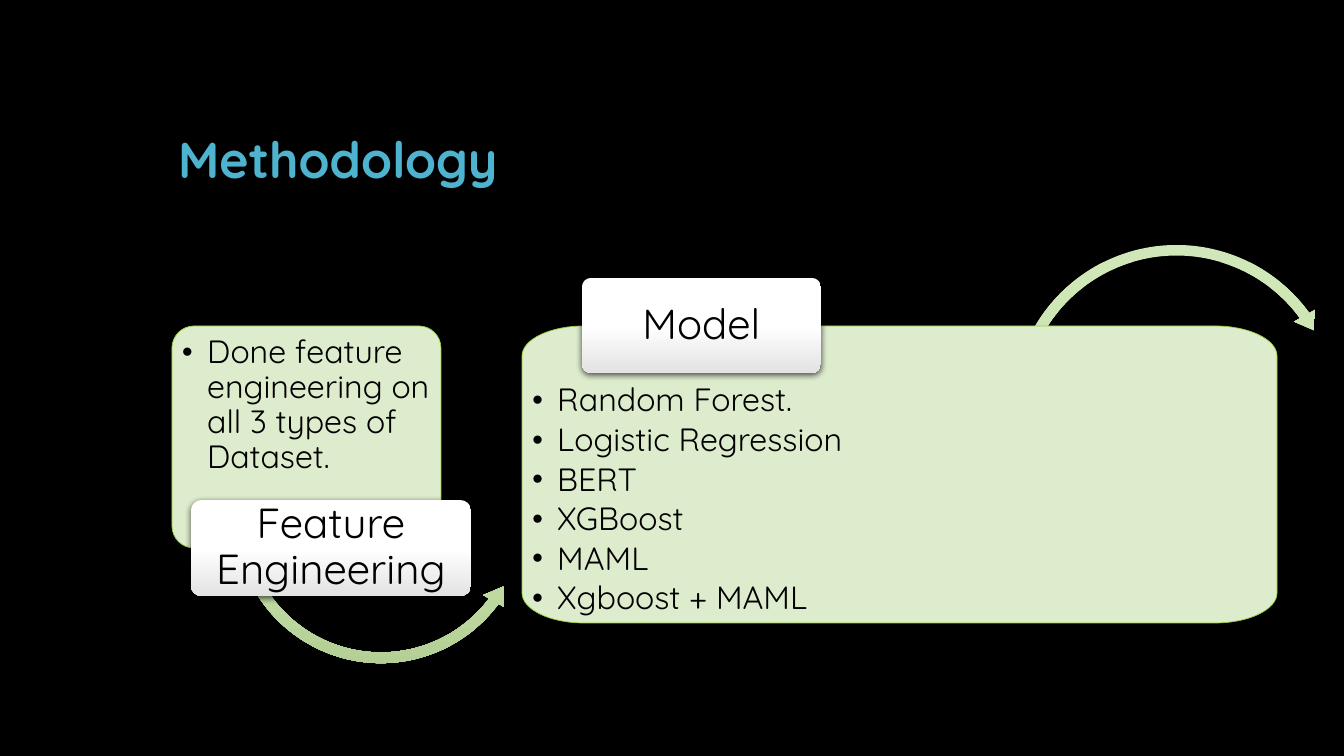
from copy import deepcopy
from dataclasses import dataclass

from lxml import etree
from pptx import Presentation, util as u
from pptx.dml.color import RGBColor
from pptx.enum import shapes, text
from pptx.oxml import ns, parse_xml

EMU_PER_PX = 914400 / 100.8
CURVE_PULL = 0.45
FONT = "Quicksand"
COLORS = {
    "background": "000000",
    "title": "4EB3CF",
    "text": "000000",
    "panel": "DEECCE",
    "panel_edge": "99CB38",
}
TAG_GRADIENT = ("FFFFFF", "FFFFFF", "E3E3E3")
ARROW_GRADIENT = ("D1E7BA", "CAE5AC", "B4CF96")


@dataclass(frozen=True)
class Box:
    left: int
    top: int
    width: int
    height: int
    radius_x: int = 0
    radius_y: int = 0


@dataclass(frozen=True)
class Panel:
    box: Box
    bullets: tuple[str, ...]
    inset_top: int
    inset_bottom: int


@dataclass(frozen=True)
class Tag:
    box: Box
    label: str


@dataclass(frozen=True)
class Arrow:
    box: Box
    preset: shapes.MSO_SHAPE
    adjustments: tuple[float, ...]


STEPS = (
    Panel(Box(172, 326, 269, 222, 22, 22),
          ("Done feature engineering on all 3 types of Dataset.",), 10, 57),
    Arrow(Box(228, 364, 306, 306), shapes.MSO_SHAPE.LEFT_CIRCULAR_ARROW,
          (0.035, 4.277, 22.032, 90.245, 0.04)),
    Tag(Box(191, 500, 280, 96, 11, 10), "Feature Engineering"),
    Arrow(Box(1006, 238, 341, 341), shapes.MSO_SHAPE.CIRCULAR_ARROW,
          (0.031, 3.813, 194.431, 125.755, 0.036)),
    Panel(Box(522, 326, 755, 297, 62, 30),
          ("Random Forest.", "Logistic Regression", "BERT", "XGBoost", "MAML",
           "Xgboost + MAML"), 58, 10),
    Tag(Box(582, 278, 239, 95, 9, 9), "Model"),
)


def px(length: float) -> u.Emu:
    return u.Emu(round(length * EMU_PER_PX))


def rgb(name: str) -> RGBColor:
    return RGBColor.from_string(COLORS[name])


def apply(target, formats: dict) -> None:
    for name, value in formats.items():
        setattr(target, name, value)


def place(box: Box) -> dict:
    return {side: px(getattr(box, side)) for side in ("left", "top", "width", "height")}


def add_rounded(slide, box: Box):
    right, bottom = box.left + box.width, box.top + box.height
    across, down = box.radius_x, box.radius_y
    corners = (
        (box.left, box.top, (0, down), (across, 0)),
        (right, box.top, (-across, 0), (0, down)),
        (right, bottom, (0, -down), (-across, 0)),
        (box.left, bottom, (across, 0), (0, -down)),
    )
    outline = [
        (px(x + dx * pull), px(y + dy * pull))
        for x, y, entry, leave in corners
        for (dx, dy), pull in ((entry, 1), (entry, CURVE_PULL),
                               (leave, CURVE_PULL), (leave, 1))
    ]
    builder = slide.shapes.build_freeform(*outline[0])
    builder.add_line_segments(outline[1:] + outline[:1], close=True)
    shape = builder.convert_to_shape()
    segments = shape.element.spPr.findall(".//" + ns.qn("a:lnTo"))
    for first in range(0, len(corners) * 4, 4):
        curve = etree.Element(ns.qn("a:cubicBezTo"))
        segments[first].addprevious(curve)
        for segment in segments[first:first + 3]:
            curve.append(segment[0])
            segment.getparent().remove(segment)
    shape.shadow.inherit = False
    return shape


def shade(shape, stops: tuple[str, ...]) -> None:
    shape.line.fill.background()
    shape.fill.gradient()
    shape.fill.gradient_angle = 270
    stop_list = shape.element.spPr.find(".//" + ns.qn("a:gsLst"))
    stop_list.insert(1, deepcopy(stop_list[0]))
    for index, (stop, color) in enumerate(zip(shape.fill.gradient_stops, stops)):
        stop.position = index / 2
        stop.color.rgb = RGBColor.from_string(color)
    shape.shadow.inherit = False
    shape.element.spPr.find(ns.qn("a:effectLst")).append(parse_xml(
        f'<a:outerShdw {ns.nsdecls("a")} blurRad="57150" dist="19050" dir="5400000" '
        'algn="ctr" rotWithShape="0"><a:srgbClr val="000000"><a:alpha val="63000"/>'
        '</a:srgbClr></a:outerShdw>'))


def write(paragraph, words: str, size: int, color: str, formats: dict,
          bold: bool = False) -> None:
    run = paragraph.add_run()
    run.text = words
    apply(run.font, {"name": FONT, "size": u.Pt(size), "bold": bold})
    run.font.color.rgb = rgb(color)
    apply(paragraph, {"line_spacing": 0.9, **formats})


def add_panel(slide, panel: Panel) -> None:
    shape = add_rounded(slide, panel.box)
    shape.fill.solid()
    shape.fill.fore_color.rgb = rgb("panel")
    shape.line.color.rgb = rgb("panel_edge")
    shape.line.width = u.Pt(0.5)
    frame = shape.text_frame
    apply(frame, {
        "word_wrap": True, "vertical_anchor": text.MSO_ANCHOR.TOP,
        "margin_left": px(10), "margin_right": px(10),
        "margin_top": px(panel.inset_top), "margin_bottom": px(panel.inset_bottom),
    })
    for index, bullet in enumerate(panel.bullets):
        paragraph = frame.add_paragraph() if index else frame.paragraphs[0]
        write(paragraph, bullet, 23, "text", {
            "alignment": text.PP_ALIGN.LEFT, "level": 1, "space_after": u.Pt(3.45)})
        properties = paragraph._p.get_or_add_pPr()
        properties.set("marL", str(u.Inches(0.25)))
        properties.set("indent", str(u.Inches(-0.25)))
        for mark in (f'buFont {ns.nsdecls("a")} typeface="{FONT}"',
                     f'buChar {ns.nsdecls("a")} char="•"'):
            properties.append(parse_xml(f"<a:{mark}/>"))


def add_tag(slide, tag: Tag) -> None:
    shape = add_rounded(slide, tag.box)
    shade(shape, TAG_GRADIENT)
    apply(shape.text_frame, {
        "word_wrap": True, "vertical_anchor": text.MSO_ANCHOR.MIDDLE,
        "margin_left": px(9), "margin_right": px(9),
        "margin_top": px(7), "margin_bottom": px(7),
    })
    write(shape.text_frame.paragraphs[0], tag.label, 30, "text",
          {"alignment": text.PP_ALIGN.CENTER})


def add_arrow(slide, arrow: Arrow) -> None:
    shape = slide.shapes.add_shape(arrow.preset, *place(arrow.box).values())
    for index, value in enumerate(arrow.adjustments):
        shape.adjustments[index] = value
    shade(shape, ARROW_GRADIENT)


def main() -> None:
    deck = Presentation()
    apply(deck, {"slide_width": px(1344), "slide_height": px(756)})
    slide = deck.slides.add_slide(deck.slide_layouts.get_by_name("Title Only"))
    slide.background.fill.solid()
    slide.background.fill.fore_color.rgb = rgb("background")
    title = slide.shapes.title
    apply(title, place(Box(168, 43, 1008, 151)))
    apply(title.text_frame, {"word_wrap": True,
                             "vertical_anchor": text.MSO_ANCHOR.BOTTOM})
    write(title.text_frame.paragraphs[0], "Methodology", 36, "title",
          {"alignment": text.PP_ALIGN.LEFT}, bold=True)
    draw = {Panel: add_panel, Tag: add_tag, Arrow: add_arrow}
    for step in STEPS:
        draw[type(step)](slide, step)
    deck.save("out.pptx")


if __name__ == "__main__":
    main()
